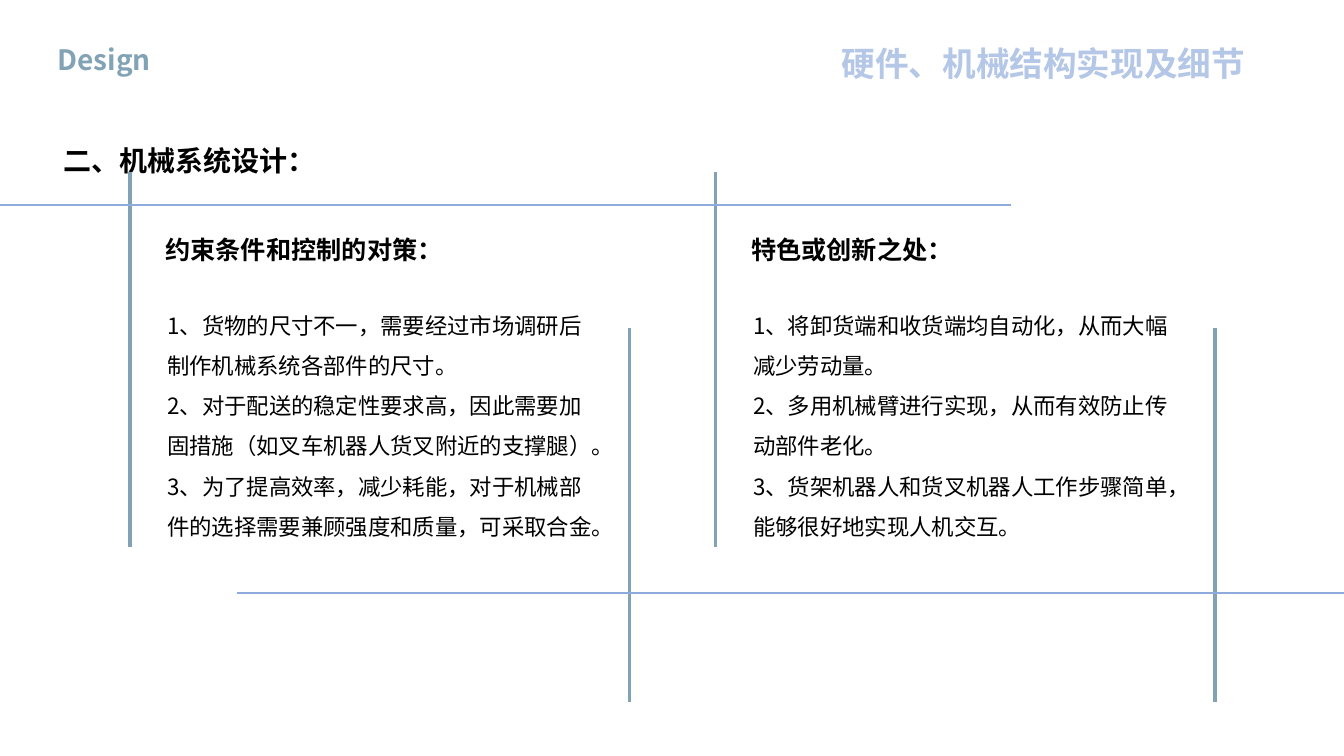
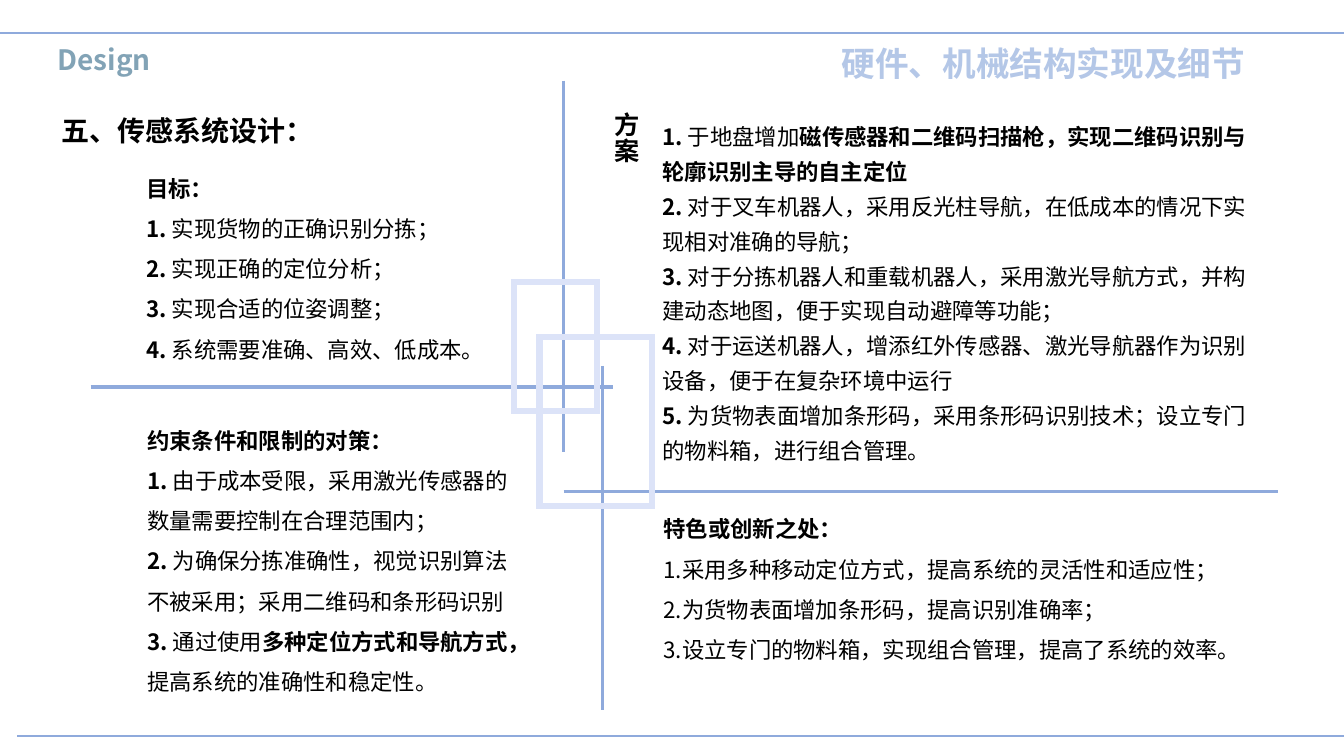
import pptx
import pptx.dml.color
import pptx.enum.shapes
import pptx.enum.text
import pptx.oxml.ns
import pptx.util
from lxml import etree

Inches = pptx.util.Inches
FACE = "Noto Sans CJK SC"
BLACK = "000000"
TEAL = "82A3B6"
BLUE = "8FAADC"
PALE = "B4C7E7"
FRAME = "DCE3F8"
WIDE, HIGH = 13.33, 7.5


def paint(target, code):
    target.rgb = pptx.dml.color.RGBColor.from_string(code)


def add_tag(parent, name, **attrs):
    return etree.SubElement(parent, pptx.oxml.ns.qn(name), attrs)


def style(para, size, code, bold, space):
    props = para._p.get_or_add_pPr()
    props.set("marL", "0")
    props.set("indent", "0")
    add_tag(props, "a:buNone")
    para.alignment = pptx.enum.text.PP_ALIGN.LEFT
    para.line_spacing = space
    para.space_before = pptx.util.Pt(0)
    font = para.font
    font.name = FACE
    font.size = pptx.util.Pt(size)
    font.bold = bold
    paint(font.color, code)
    add_tag(props.find(pptx.oxml.ns.qn("a:defRPr")), "a:ea", typeface=FACE)


def write(box, place, lines, size, code=BLACK, bold=False, space=1.0):
    box.left, box.top, box.width, box.height = map(Inches, place)
    frame = box.text_frame
    frame.word_wrap = True
    frame.auto_size = pptx.enum.text.MSO_AUTO_SIZE.NONE
    frame.vertical_anchor = pptx.enum.text.MSO_ANCHOR.TOP
    for index, line in enumerate(lines):
        para = frame.add_paragraph() if index else frame.paragraphs[0]
        parts = line.split("*")
        for turn, part in enumerate(parts):
            if part:
                run = para.add_run()
                run.text = part
                if len(parts) > 1:
                    run.font.bold = turn % 2 == 1
        style(para, size, code, bold, space)


def add_text(slide, place, text, size, code=BLACK):
    box = slide.shapes.add_textbox(*map(Inches, place))
    write(box, place, [text], size, code, True)
    return box


def add_line(slide, x1, y1, x2, y2, code=BLUE, width=2.25):
    line = slide.shapes.add_connector(
        pptx.enum.shapes.MSO_CONNECTOR.STRAIGHT, *map(Inches, (x1, y1, x2, y2)))
    paint(line.line.color, code)
    line.line.width = pptx.util.Pt(width)
    add_tag(line._element.spPr, "a:effectLst")


def add_frame(slide, place):
    shape = slide.shapes.add_shape(
        pptx.enum.shapes.MSO_SHAPE.RECTANGLE, *map(Inches, place))
    shape.shadow.inherit = False
    shape.fill.background()
    paint(shape.line.color, FRAME)
    shape.line.width = pptx.util.Pt(4.5)
    edge = shape._element.spPr.find(pptx.oxml.ns.qn("a:ln"))
    add_tag(edge, "a:miter", lim="800000")


def add_slide(deck, title, left, top):
    slide = deck.slides.add_slide(deck.slide_layouts.get_by_name("Comparison"))
    write(slide.shapes.title, (left, top, 3.85, 0.44), [title], 20, bold=True)
    add_text(slide, (0.47, 0.37, 2.99, 0.44), "Design", 20, TEAL)
    add_text(slide, (8.25, 0.38, 4.69, 0.5), "硬件、机械结构实现及细节", 24, PALE)
    return slide


def count(items):
    return [f"*{index}. *{item}" for index, item in enumerate(items, 1)]


def build_frame(deck):
    slide = add_slide(deck, "二、机械系统设计：", 0.53, 1.37)
    cards = [
        ("约束条件和控制的对策：", [
            "1、货物的尺寸不一，需要经过市场调研后制作机械系统各部件的尺寸。",
            "2、对于配送的稳定性要求高，因此需要加固措施（如叉车机器人货叉附近的支撑腿）。",
            "3、为了提高效率，减少耗能，对于机械部件的选择需要兼顾强度和质量，可采取合金。"]),
        ("特色或创新之处：", [
            "1、将卸货端和收货端均自动化，从而大幅减少劳动量。",
            "2、多用机械臂进行实现，从而有效防止传动部件老化。",
            "3、货架机器人和货叉机器人工作步骤简单，能够很好地实现人机交互。"]),
    ]
    holders = slide.placeholders
    for index, (head, items) in enumerate(cards):
        left = 1.29 + index * 5.81
        write(holders[1 + 2 * index], (left + 0.25, 2.27, 3.17, 0.4), [head], 18, bold=True)
        write(holders[2 + 2 * index], (left + 0.27, 2.91, 4.51, 2.48), items, 16, space=1.5)
        add_line(slide, left, 1.71, left, 5.43, TEAL)
        add_line(slide, left + 4.95, 3.25, left + 4.95, 6.96, TEAL)
    add_line(slide, 2.35, 5.88, WIDE, 5.88, width=1.5)
    add_line(slide, 0, 2.03, 10.03, 2.03, width=1.5)


def build_sense(deck):
    slide = add_slide(deck, "五、传感系统设计：", 0.51, 1.08)
    goals = ["*目标：*"] + count([
        "实现货物的正确识别分拣；",
        "实现正确的定位分析；",
        "实现合适的位姿调整；",
        "系统需要准确、高效、低成本。"])
    plans = count([
        "于地盘增加*磁传感器和二维码扫描枪，实现二维码识别与轮廓识别主导的自主定位*",
        "对于叉车机器人，采用反光柱导航，在低成本的情况下实现相对准确的导航；",
        "对于分拣机器人和重载机器人，采用激光导航方式，并构建动态地图，便于实现自动避障等功能；",
        "对于运送机器人，增添红外传感器、激光导航器作为识别设备，便于在复杂环境中运行",
        "为货物表面增加条形码，采用条形码识别技术；设立专门的物料箱，进行组合管理。"])
    limits = ["*约束条件和限制的对策：*"] + count([
        "由于成本受限，采用激光传感器的数量需要控制在合理范围内；",
        "为确保分拣准确性，视觉识别算法不被采用；采用二维码和条形码识别",
        "通过使用*多种定位方式和导航方式，*提高系统的准确性和稳定性。"])
    traits = [
        "*特色或创新之处：*",
        "1.采用多种移动定位方式，提高系统的灵活性和适应性；",
        "2.为货物表面增加条形码，提高识别准确率；",
        "3.设立专门的物料箱，实现组合管理，提高了系统的效率。"]
    blocks = [
        ((1.35, 1.55, 4.49, 2.08), goals, 1.5),
        ((6.47, 1.09, 6.2, 3.6), plans, 1.3),
        ((1.36, 4.05, 3.88, 2.93), limits, 1.5),
        ((6.48, 4.93, 5.96, 1.68), traits, 1.5),
    ]
    for index, (place, lines, space) in enumerate(blocks, 1):
        write(slide.placeholders[index], place, lines, 16, space=space)
    label = add_text(slide, (5.91, 1.02, 0.5, 0.96), "方案", 18)
    label.text_frame._txBody.bodyPr.set("vert", "eaVert")
    for left, top in ((0, 0.33), (0.17, 7.3)):
        add_line(slide, left, top, WIDE, top, width=1.5)
    for ends in ((5.59, 0.8, 5.59, 4.48), (0.9, 3.84, 6.08, 3.84),
                 (5.98, 3.63, 5.98, 7.04), (5.59, 4.88, 12.68, 4.88)):
        add_line(slide, *ends)
    for place in ((5.35, 3.34, 1.12, 1.68), (5.1, 2.8, 0.82, 1.28)):
        add_frame(slide, place)


def main():
    deck = pptx.Presentation()
    deck.slide_width = Inches(WIDE)
    deck.slide_height = Inches(HIGH)
    build_frame(deck)
    build_sense(deck)
    deck.save("out.pptx")


if __name__ == "__main__":
    main()
